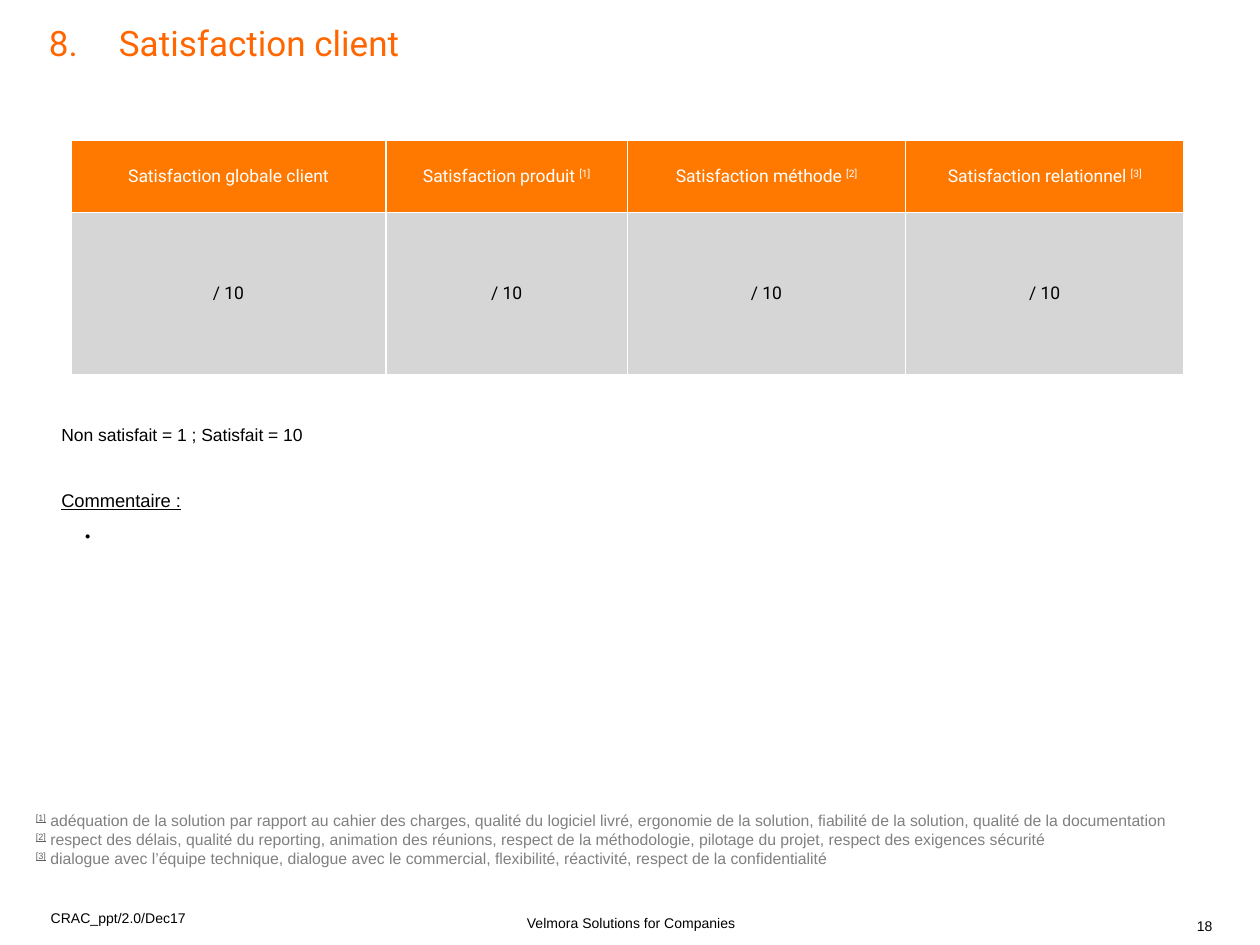
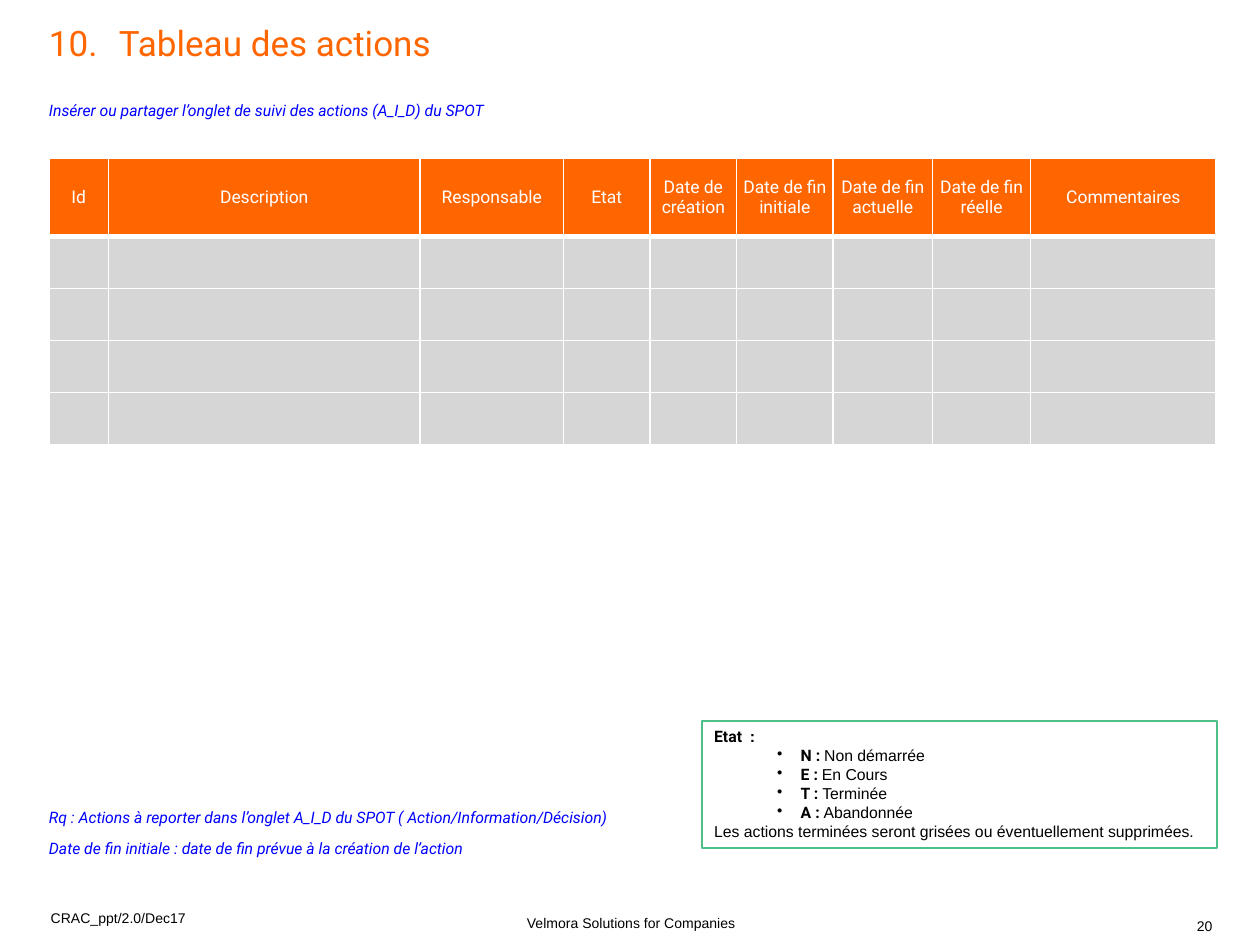
from collections import namedtuple
from dataclasses import dataclass

from lxml import etree
from pptx import Presentation
from pptx.dml import color
from pptx.enum import shapes, text
from pptx.oxml import ns
from pptx.util import Pt

Box = namedtuple("Box", "left top width height")
Span = namedtuple("Span", "text style", defaults=({},))


@dataclass(frozen=True)
class Theme:
    title: str = "FF6600"
    rating_header: str = "FF7900"
    action_header: str = "FF6600"
    cell: str = "D6D6D6"
    ink: str = "000000"
    white: str = "FFFFFF"
    hint: str = "0000FF"
    note: str = "808080"
    note_mark: str = "5F5F5F"
    legend_line: str = "50BE87"
    heading_font: str = "Roboto"
    body_font: str = "Arial"
    title_size: float = 20
    comment_size: float = 10.5
    table_size: float = 10
    note_size: float = 9
    footer_size: float = 8


THEME = Theme()
SLIDE = Box(0, 0, 720, 540)
MARGIN = 28
CONTENT_WIDTH = 667
TITLE_TAB = 40
BULLET_HANG = 13.5
CENTER = text.PP_ALIGN.CENTER
JUSTIFY = text.PP_ALIGN.JUSTIFY
MIDDLE = text.MSO_ANCHOR.MIDDLE


def set_font(font, size=None, name=None, ink=None, bold=None, italic=None, underline=None):
    for key, value in (("name", name), ("bold", bold), ("italic", italic), ("underline", underline)):
        if value is not None:
            setattr(font, key, value)
    if size:
        font.size = Pt(size)
    if ink:
        font.color.rgb = color.RGBColor.from_string(ink)


def write(para, spans, align=None, line=None, before=None, after=None, **font):
    """Fill a paragraph; spans is a string or a list of Span with their own styles."""
    set_font(para.font, **font)
    if align is not None:
        para.alignment = align
    if line is not None:
        para.line_spacing = line
    if before is not None:
        para.space_before = Pt(before)
    if after is not None:
        para.space_after = Pt(after)
    for span in [Span(spans)] if isinstance(spans, str) else spans:
        style = dict(span.style)
        raised = style.pop("raised", False)
        run = para.add_run()
        run.text = span.text
        set_font(run.font, **style)
        if raised:
            run._r.get_or_add_rPr().set("baseline", "30000")


def add_bullet(para, indent):
    props = para._p.get_or_add_pPr()
    props.set("marL", str(Pt(indent)))
    props.set("indent", str(-Pt(BULLET_HANG)))
    mark = etree.Element(ns.qn("a:buChar"), char="•")
    default_font = props.find(ns.qn("a:defRPr"))
    if default_font is None:
        props.append(mark)
    else:
        default_font.addprevious(mark)


def add_tab_stop(para, position):
    props = para._p.get_or_add_pPr()
    stops = etree.Element(ns.qn("a:tabLst"))
    etree.SubElement(stops, ns.qn("a:tab"), pos=str(Pt(position)), algn="l")
    props.find(ns.qn("a:defRPr")).addprevious(stops)


def set_insets(target, across, down):
    target.margin_left = target.margin_right = Pt(across)
    target.margin_top = target.margin_bottom = Pt(down)


def text_frame(page, box, across=0, down=0, anchor=text.MSO_ANCHOR.TOP, wrap=True):
    frame = page.shapes.add_textbox(*map(Pt, box)).text_frame
    frame.word_wrap = wrap
    frame.vertical_anchor = anchor
    set_insets(frame, across, down)
    return frame


def next_para(frame):
    """Return the empty first paragraph, or a new one after the last."""
    first = frame.paragraphs[0]
    return frame.add_paragraph() if first.runs else first


def add_title(page, number, title):
    para = text_frame(page, Box(MARGIN, 15, CONTENT_WIDTH, 65)).paragraphs[0]
    write(para, f"{number}.\t{title}", line=0.9, size=THEME.title_size,
          name=THEME.heading_font, ink=THEME.title)
    add_tab_stop(para, TITLE_TAB)


def add_footer(page, box, page_number):
    font = dict(size=THEME.footer_size, name=THEME.body_font, ink=THEME.ink)
    reference = text_frame(page, Box(box.left + 29, box.top, 79, 22), down=3.6, wrap=False)
    write(reference.paragraphs[0], "CRAC_ppt/2.0/Dec17", **font)
    owner = text_frame(page, Box(box.left + 235.5, box.top + 6.5, 250.5, 11.5), anchor=MIDDLE)
    write(owner.paragraphs[0], "Velmora Solutions for Companies",
          align=CENTER, line=0.85, after=12, **font)
    number = text_frame(page, Box(box.left + 684, box.top + 6.5, 21.5, 11.5),
                        anchor=text.MSO_ANCHOR.BOTTOM)
    write(number.paragraphs[0], str(page_number), line=0.85, after=12, **font)


def border_cell(cell, top=1, bottom=1):
    props = cell._tc.get_or_add_tcPr()
    sides = (("a:lnL", 1), ("a:lnR", 1), ("a:lnT", top), ("a:lnB", bottom))
    for place, (tag, width) in enumerate(sides):
        line = etree.Element(ns.qn(tag), w=str(Pt(width)))
        fill = etree.SubElement(line, ns.qn("a:solidFill"))
        etree.SubElement(fill, ns.qn("a:srgbClr"), val=THEME.white)
        props.insert(place, line)


def add_grid(page, left, top, columns, heights, rows, header_fill, insets, rule=1, before=None):
    """Draw a table with one header row; rule is the line width below the header."""
    box = Box(left, top, sum(columns), sum(heights))
    table = page.shapes.add_table(len(rows), len(columns), *map(Pt, box)).table
    table.first_row = table.horz_banding = False
    for column, width in zip(table.columns, columns):
        column.width = Pt(width)
    for index, (height, values) in enumerate(zip(heights, rows)):
        table.rows[index].height = Pt(height)
        header = index == 0
        for cell, value in zip(table.rows[index].cells, values):
            cell.fill.solid()
            cell.fill.fore_color.rgb = color.RGBColor.from_string(header_fill if header else THEME.cell)
            cell.vertical_anchor = MIDDLE
            set_insets(cell, *insets)
            border_cell(cell, top=rule if index == 1 else 1, bottom=rule if header else 1)
            write(cell.text_frame.paragraphs[0], value, align=CENTER,
                  before=before if header else None, size=THEME.table_size,
                  name=THEME.heading_font, ink=THEME.white if header else THEME.ink)


def add_ratings(page, left, top):
    subjects = ("produit", "méthode", "relationnel")
    headers = ["Satisfaction globale client"]
    headers += [[Span(f"Satisfaction {subject} "), Span(f"[{note}]", {"raised": True})]
                for note, subject in enumerate(subjects, 1)]
    add_grid(page, left, top, (180, 138, 159, 159), (41.5, 92.5),
             (headers, ["/ 10"] * len(headers)), THEME.rating_header, insets=(7.2, 5))


def add_comments(page, box):
    body = dict(name=THEME.body_font, ink=THEME.ink)
    scale = text_frame(page, Box(box.left, box.top, box.width, 19.5), 7.2, 3.6)
    write(scale.paragraphs[0], "Non satisfait = 1 ; Satisfait = 10",
          align=JUSTIFY, size=THEME.table_size, **body)
    comment = text_frame(page, Box(box.left, box.top + 37, box.width, box.height - 37), 7.2, 3.6)
    write(next_para(comment), "Commentaire :", size=THEME.comment_size, underline=True, **body)
    entry = next_para(comment)
    write(entry, " ", before=10.5, size=THEME.note_size, **body)
    add_bullet(entry, 2 * BULLET_HANG)


def add_footnotes(page, box):
    notes = (
        "adéquation de la solution par rapport au cahier des charges, qualité du logiciel livré, "
        "ergonomie de la solution, fiabilité de la solution, qualité de la documentation",
        "respect des délais, qualité du reporting, animation des réunions, respect de la "
        "méthodologie, pilotage du projet, respect des exigences sécurité",
        "dialogue avec l’équipe technique, dialogue avec le commercial, flexibilité, réactivité, "
        "respect de la confidentialité",
    )
    frame = text_frame(page, box, 7.2, 3.6, MIDDLE)
    mark_style = dict(ink=THEME.note_mark, underline=True, raised=True)
    for number, note in enumerate(notes, 1):
        write(next_para(frame), [Span(f"[{number}]", mark_style), Span(f" {note}")],
              align=JUSTIFY, size=THEME.note_size, name=THEME.body_font, ink=THEME.note)


def add_hints(page, box, *hints):
    frame = text_frame(page, box)
    for hint in hints:
        write(next_para(frame), hint, line=0.9, after=8, size=THEME.note_size,
              name=THEME.heading_font, ink=THEME.hint, italic=True)


def add_actions(page, left, top):
    headers = ("Id", "Description", "Responsable", "Etat", "Date de création",
               "Date de fin initiale", "Date de fin actuelle", "Date de fin réelle", "Commentaires")
    empty_rows = 4
    add_grid(page, left, top, (34, 178, 82, 49.5, 49.5, 55, 57, 56, 106),
             [44.5] + [29.75] * empty_rows, [headers] + [[[]] * len(headers)] * empty_rows,
             THEME.action_header, insets=(3.6, 0), rule=3, before=3)


def add_state_legend(page, box):
    states = {"N": "Non démarrée", "E": "En Cours", "T": "Terminée", "A": "Abandonnée"}
    panel = page.shapes.add_shape(shapes.MSO_SHAPE.RECTANGLE, *map(Pt, box))
    panel.shadow.inherit = False
    panel.fill.solid()
    panel.fill.fore_color.rgb = color.RGBColor.from_string(THEME.white)
    panel.line.color.rgb = color.RGBColor.from_string(THEME.legend_line)
    panel.line.width = Pt(1)
    frame = panel.text_frame
    frame.word_wrap = True
    frame.vertical_anchor = text.MSO_ANCHOR.TOP
    set_insets(frame, 7.2, 3.6)
    body = dict(align=text.PP_ALIGN.LEFT, size=THEME.note_size, name=THEME.body_font, ink=THEME.ink)
    label_style = dict(name=THEME.heading_font, bold=True)
    write(next_para(frame), [Span("Etat  ", label_style), Span(":", {"bold": True})], **body)
    for code, meaning in states.items():
        para = next_para(frame)
        write(para, [Span(f"{code} : ", label_style), Span(meaning)], **body)
        add_bullet(para, 49.5)
    write(next_para(frame), "Les actions terminées seront grisées ou éventuellement supprimées.", **body)


def add_page(deck, number, title, page_number):
    page = deck.slides.add_slide(deck.slide_layouts[6])
    add_footer(page, Box(0, 516, SLIDE.width, 24), page_number)
    add_title(page, number, title)
    return page


def build_satisfaction(deck):
    page = add_page(deck, 8, "Satisfaction client", 18)
    add_comments(page, Box(MARGIN, 239, CONTENT_WIDTH, 89.5))
    add_footnotes(page, Box(13.5, 459.5, 690, 40))
    add_ratings(page, 40.5, 80)


def build_actions(deck):
    page = add_page(deck, 10, "Tableau des actions", 20)
    add_hints(page, Box(MARGIN, 59, CONTENT_WIDTH, 21),
              "Insérer ou partager l’onglet de suivi des actions (A_I_D) du SPOT")
    add_actions(page, MARGIN, 90.5)
    add_state_legend(page, Box(401, 412, 294.5, 72.5))
    add_hints(page, Box(MARGIN, 463, 366, 47),
              "Rq : Actions à reporter dans l’onglet A_I_D du SPOT ( Action/Information/Décision)",
              "Date de fin initiale : date de fin prévue à la création de l’action")


def main():
    deck = Presentation()
    deck.slide_width, deck.slide_height = Pt(SLIDE.width), Pt(SLIDE.height)
    build_satisfaction(deck)
    build_actions(deck)
    deck.save("out.pptx")


if __name__ == "__main__":
    main()
